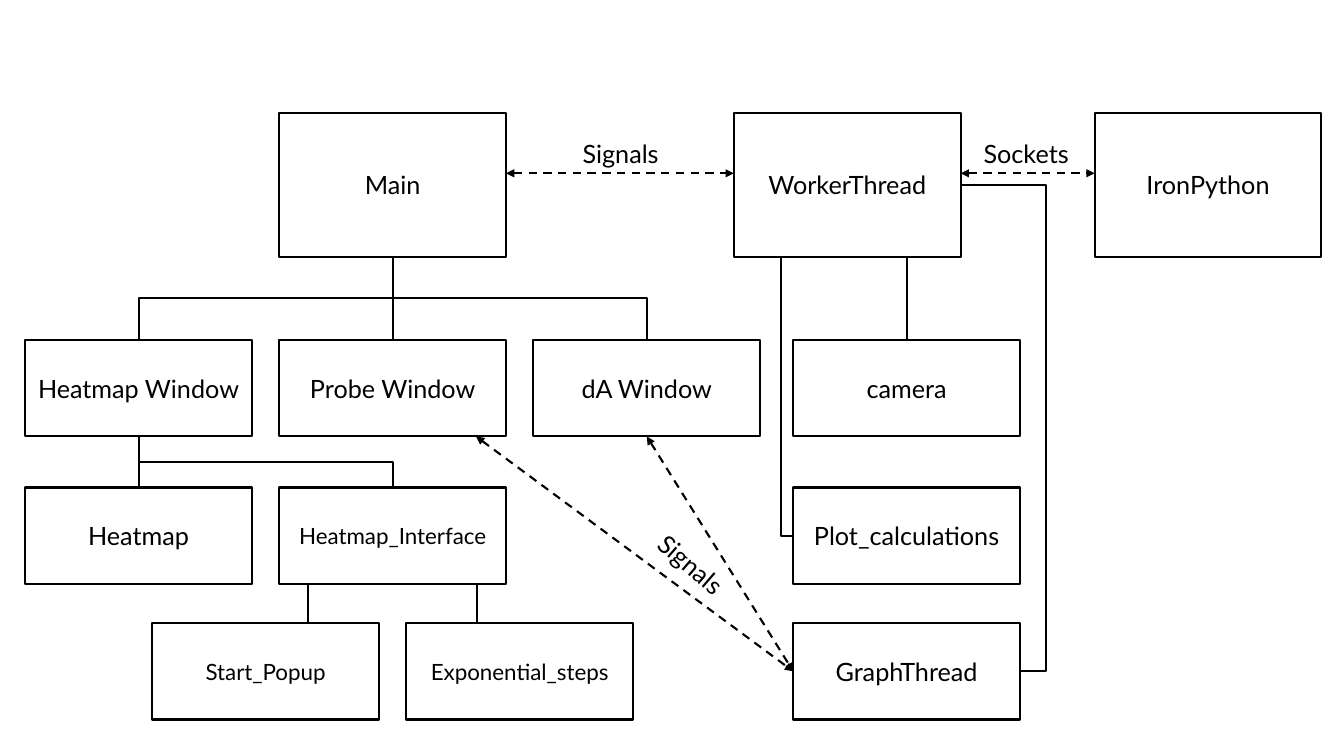
from lxml import etree
from pptx import Presentation
from pptx.dml.color import RGBColor
from pptx.enum.dml import MSO_LINE
from pptx.enum.shapes import MSO_CONNECTOR, MSO_SHAPE
from pptx.enum.text import MSO_ANCHOR, PP_ALIGN
from pptx.oxml.ns import qn
from pptx.util import Pt

STRAIGHT, ELBOW = MSO_CONNECTOR.STRAIGHT, MSO_CONNECTOR.ELBOW
RECTANGLE, DASH = MSO_SHAPE.RECTANGLE, MSO_LINE.DASH
MIDDLE, CENTER = MSO_ANCHOR.MIDDLE, PP_ALIGN.CENTER
TOP, LEFT, BOTTOM, RIGHT = range(4)

FONT = "Lato"
COLORS = {"ink": "000000", "paper": "FFFFFF"}

# Grid, in points
BOX_WIDTH, TALL, LOW = 162, 103, 69
FIRST_COLUMN, PITCH = 18, 181.5
THREAD_X, IRON_X, WORKER_CHILD_X = 524.2, 781.9, 566.6
TOP_ROW, WINDOW_ROW, PART_ROW, STEP_ROW = 80.6, 242.7, 348.2, 445
SIGNAL_Y, POPUP_X, STEPS_X, PLOT_X, GRAPH_X = 123.8, 219.8, 340.6, 557.8, 747.2


def column(number):
    return FIRST_COLUMN + number * PITCH


# Boxes: name, left, top, height, text size
BOXES = [
    ("Main", column(1), TOP_ROW, TALL, 18),
    ("WorkerThread", THREAD_X, TOP_ROW, TALL, 18),
    ("IronPython", IRON_X, TOP_ROW, TALL, 18),
    ("Heatmap Window", column(0), WINDOW_ROW, LOW, 18),
    ("Probe Window", column(1), WINDOW_ROW, LOW, 18),
    ("dA Window", column(2), WINDOW_ROW, LOW, 18),
    ("camera", WORKER_CHILD_X, WINDOW_ROW, LOW, 18),
    ("Heatmap", column(0), PART_ROW, LOW, 18),
    ("Heatmap_Interface", column(1), PART_ROW, LOW, 16),
    ("Plot_calculations", WORKER_CHILD_X, PART_ROW, LOW, 18),
    ("Start_Popup", column(0.5), STEP_ROW, LOW, 16),
    ("Exponential_steps", column(1.5), STEP_ROW, LOW, 16),
    ("GraphThread", WORKER_CHILD_X, STEP_ROW, LOW, 18),
]

# Straight links: (box, side, place along the side or None for its middle) twice
OWNERSHIP = [
    (("Main", BOTTOM, None), ("Probe Window", TOP, None)),
    (("Heatmap Window", BOTTOM, None), ("Heatmap", TOP, None)),
    (("WorkerThread", BOTTOM, 647.6), ("camera", TOP, None)),
    (("Heatmap_Interface", BOTTOM, POPUP_X), ("Start_Popup", TOP, POPUP_X)),
    (("Heatmap_Interface", BOTTOM, STEPS_X), ("Exponential_steps", TOP, STEPS_X)),
]
MESSAGES = [
    (("Main", RIGHT, SIGNAL_Y), ("WorkerThread", LEFT, SIGNAL_Y)),
    (("WorkerThread", RIGHT, SIGNAL_Y), ("IronPython", LEFT, SIGNAL_Y)),
    (("dA Window", BOTTOM, None), ("GraphThread", LEFT, None)),
    (("Probe Window", BOTTOM, 340), ("GraphThread", LEFT, None)),
]
BRANCHES = [("Main", "Heatmap Window"), ("Main", "dA Window"),
            ("Heatmap Window", "Heatmap_Interface")]

# Labels: text, left, top, width, rotation
LABELS = [
    ("Signals", 409, 95.2, 71.3, 0),
    ("Sockets", 695.5, 95.2, 83.5, 0),
    ("Signals", 452.2, 407.5, 126, 40.8),
]

frames = {name: (left, top, height) for name, left, top, height, _ in BOXES}
boxes = {}


def color(key):
    return RGBColor.from_string(COLORS[key])


def write(shape, text, size):
    shape.text_frame.text = text
    font = shape.text_frame.paragraphs[0].runs[0].font
    font.name, font.size, font.color.rgb = FONT, Pt(size), color("ink")


def point(name, side, place=None):
    left, top, height = frames[name]
    if side in (TOP, BOTTOM):
        x = left + BOX_WIDTH / 2 if place is None else place
        return x, top + (height if side == BOTTOM else 0)
    y = top + height / 2 if place is None else place
    return left + (BOX_WIDTH if side == RIGHT else 0), y


def draw_line(kind, start, end):
    line = slide.shapes.add_connector(kind, *map(Pt, start + end))
    line.line.color.rgb, line.line.width = color("ink"), Pt(1.5)
    etree.SubElement(line._element.spPr, qn("a:effectLst"))
    return line


def link(start, end):
    line = draw_line(STRAIGHT, point(*start), point(*end))
    if start[2] is None:
        line.begin_connect(boxes[start[0]], start[1])
    if end[2] is None:
        line.end_connect(boxes[end[0]], end[1])
    return line


def turn(line, degrees):
    line._element.spPr.find(qn("a:xfrm")).set("rot", str(degrees * 60000))


def branch(parent, child):
    """Elbow that leaves downwards: a sideways elbow turned about its centre."""
    (x1, y1), (x2, y2) = point(parent, BOTTOM), point(child, TOP)
    center_x, center_y = (x1 + x2) / 2, (y1 + y2) / 2
    half_drop, half_span = (y2 - y1) / 2, abs(x2 - x1) / 2
    toward = 1 if x2 < x1 else -1
    line = draw_line(ELBOW, (center_x - toward * half_drop, center_y - half_span),
                     (center_x + toward * half_drop, center_y + half_span))
    turn(line, 90 if toward == 1 else 270)


presentation = Presentation()
presentation.slide_width, presentation.slide_height = Pt(960), Pt(540)
slide = presentation.slides.add_slide(presentation.slide_layouts[6])

# Boxes
for name, left, top, height, size in BOXES:
    box = slide.shapes.add_shape(RECTANGLE, Pt(left), Pt(top), Pt(BOX_WIDTH), Pt(height))
    box.shadow.inherit = False
    box.fill.solid()
    box.fill.fore_color.rgb = color("paper")
    box.line.color.rgb, box.line.width = color("ink"), Pt(1.5)
    write(box, name, size)
    box.text_frame.word_wrap = True
    box.text_frame.vertical_anchor = MIDDLE
    box.text_frame.paragraphs[0].alignment = CENTER
    boxes[name] = box

# Ownership lines
for start, end in OWNERSHIP:
    link(start, end)
for parent, child in BRANCHES:
    branch(parent, child)

# WorkerThread to Plot_calculations: a single bend
plot_x, plot_y = point("Plot_calculations", LEFT)
worker_bottom = point("WorkerThread", BOTTOM, PLOT_X)
plot_line = draw_line(ELBOW, worker_bottom, (plot_x, plot_y))
plot_line._element.spPr.find(qn("a:prstGeom")).set("prst", "bentConnector2")
turn(plot_line, 180)

# WorkerThread to GraphThread: the bend lies outside both ends
worker_side, graph_side = point("WorkerThread", RIGHT), point("GraphThread", RIGHT)
graph_line = draw_line(ELBOW, worker_side, graph_side)
bend = (GRAPH_X - worker_side[0]) / (graph_side[0] - worker_side[0])
adjustments = graph_line._element.spPr.find(qn("a:prstGeom")).find(qn("a:avLst"))
etree.SubElement(adjustments, qn("a:gd"), name="adj1", fmla=f"val {round(bend * 100000)}")

# Dashed message arrows
for start, end in MESSAGES:
    arrow = link(start, end)
    arrow.line.dash_style = DASH
    for tip in ("a:headEnd", "a:tailEnd"):
        etree.SubElement(arrow.line._get_or_add_ln(), qn(tip), type="triangle")

# Labels
for text, left, top, width, rotation in LABELS:
    label = slide.shapes.add_textbox(Pt(left), Pt(top), Pt(width), Pt(29))
    label.text_frame.word_wrap = True
    label.rotation = rotation
    write(label, text, 18)

presentation.save("out.pptx")
